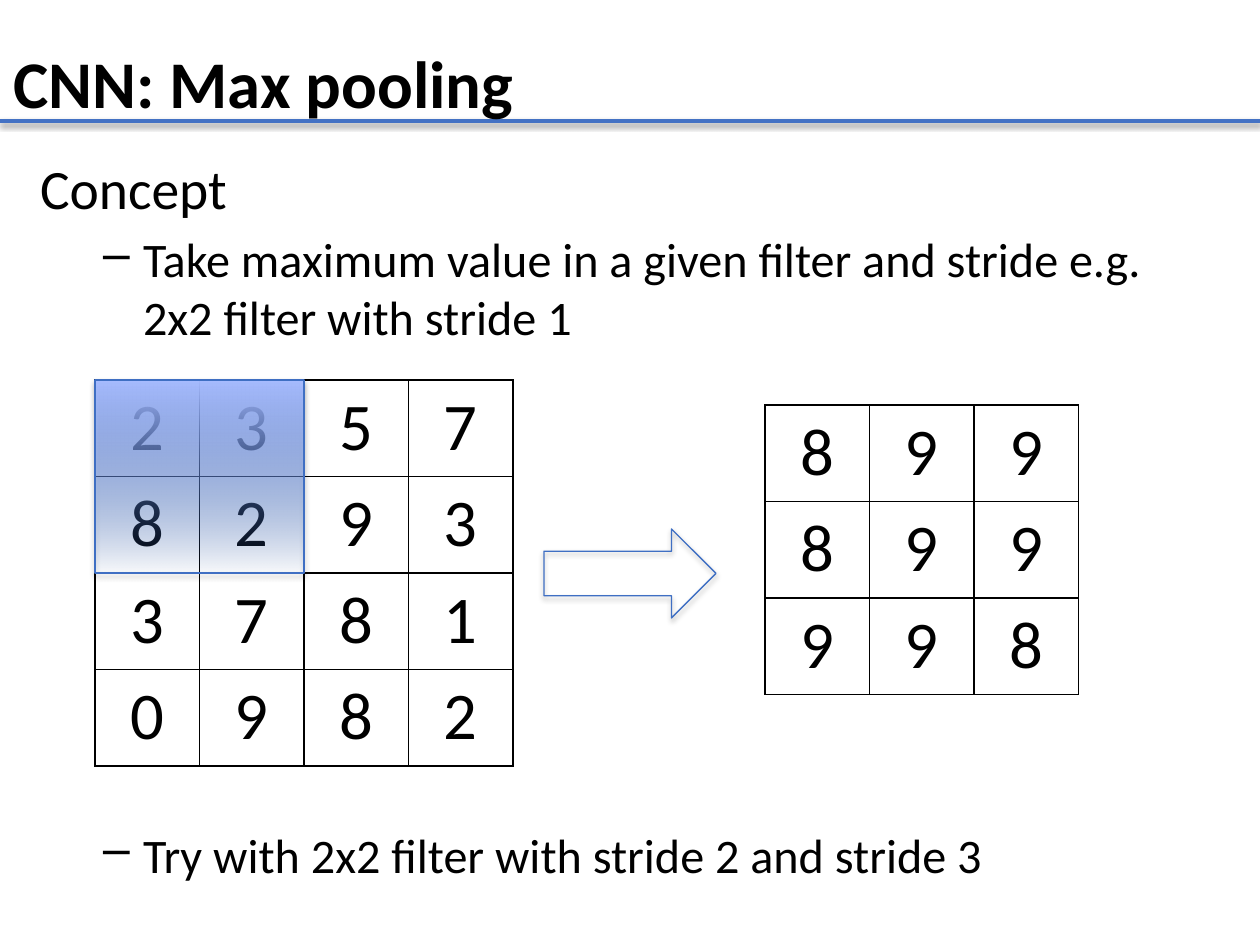
"""Build the slide that explains max pooling with a 2x2 filter."""
from dataclasses import dataclass

from pptx import Presentation
from pptx.dml.color import RGBColor
from pptx.enum.shapes import MSO_CONNECTOR, MSO_SHAPE
from pptx.enum.text import MSO_AUTO_SIZE, PP_ALIGN
from pptx.oxml import parse_xml
from pptx.oxml.ns import nsdecls
from pptx.util import Emu, Pt

TITLE = "CNN: Max pooling"
HEAD = "Concept"
POINTS = [
    ("Take maximum value in a given filter and stride e.g. 2x2 filter with stride 1", 5.2),
    ("Try with 2x2 filter with stride 2 and stride 3", 259),
]
INPUT = [[2, 3, 5, 7], [8, 2, 9, 3], [3, 7, 8, 1], [0, 9, 8, 2]]
POOLED = [[8, 9, 9], [8, 9, 9], [9, 9, 8]]
FILTER = 2

WIDE, HIGH = 1260, 945
RULE_Y = 121
TITLE_BOX = (0, 35, 532, 95)
BODY_BOX = (27, 147, 1208, 772)
ARROW_BOX = (544, 529, 172, 89)
INPUT_AT, POOLED_AT = (95, 380), (765, 405)
CELL_W, CELL_H = 418 / 4, 386 / 4
INDENT, HANG = 103, 40


@dataclass(frozen=True)
class Theme:
    """Hold the font, type sizes and colours."""
    font: str = "Calibri"
    big: int = 36
    head: int = 30
    point: int = 26
    ink: str = "000000"
    rule: str = "4472C4"
    edge: str = "3F6FC3"
    low: str = "316DD7"
    high: str = "A6BBFF"


LOOK = Theme()


def px(*nums):
    """Turn pixels into EMU."""
    return [Emu(round(num * 6858)) for num in nums]


def add_run(para, text, size, bold=False):
    """Add one styled run."""
    run = para.add_run()
    run.text = text
    font = run.font
    font.name, font.size, font.bold = LOOK.font, Pt(size), bold
    font.color.rgb = RGBColor.from_string(LOOK.ink)


def draw_line(shape, color, width):
    """Set the outline of a shape."""
    shape.line.color.rgb = RGBColor.from_string(color)
    shape.line.width = Pt(width)


def add_shadow(shape, alpha, dist):
    """Add a soft shadow that falls down."""
    shape.element.spPr.append(parse_xml(
        f'<a:effectLst {nsdecls("a")}><a:outerShdw blurRad="{Pt(3.1)}" dist="{Pt(dist)}" '
        f'dir="5400000" rotWithShape="0"><a:srgbClr val="{LOOK.ink}">'
        f'<a:alpha val="{alpha * 1000}"/></a:srgbClr></a:outerShdw></a:effectLst>'))


def add_rule(slide):
    """Draw the line under the title."""
    rule = slide.shapes.add_connector(MSO_CONNECTOR.STRAIGHT, *px(0, RULE_Y, WIDE, RULE_Y))
    draw_line(rule, LOOK.rule, 2)
    add_shadow(rule, 38, 1.6)


def add_title(slide):
    """Write the title."""
    frame = slide.shapes.add_textbox(*px(*TITLE_BOX)).text_frame
    frame.word_wrap = False
    frame.auto_size = MSO_AUTO_SIZE.SHAPE_TO_FIT_TEXT
    add_run(frame.paragraphs[0], TITLE, LOOK.big, True)


def add_body(slide):
    """Write the heading and its dashed points."""
    frame = slide.shapes.add_textbox(*px(*BODY_BOX)).text_frame
    frame.word_wrap = True
    add_run(frame.paragraphs[0], HEAD, LOOK.head)
    left, hang = px(INDENT, -HANG)
    for text, gap in POINTS:
        para = frame.add_paragraph()
        para.level = 1
        props = para._p.get_or_add_pPr()
        props.set("marL", str(left))
        props.set("indent", str(hang))
        props.append(parse_xml(f'<a:buChar {nsdecls("a")} char="–"/>'))
        para.space_before = Pt(gap)
        add_run(para, text, LOOK.point)


def add_grid(slide, spot, rows):
    """Add a table of numbers with thin black borders."""
    count = len(rows)
    size = (CELL_W * count, CELL_H * count)
    table = slide.shapes.add_table(count, count, *px(*spot, *size)).table
    table.first_row = table.horz_banding = False
    wide, high = px(CELL_W, CELL_H)
    for col in table.columns:
        col.width = wide
    for line, row in zip(table.rows, rows):
        line.height = high
        for cell, value in zip(line.cells, row):
            props = cell._tc.get_or_add_tcPr()
            for side in ("lnL", "lnR", "lnT", "lnB"):
                props.append(parse_xml(
                    f'<a:{side} {nsdecls("a")} w="{Pt(1)}"><a:solidFill>'
                    f'<a:srgbClr val="{LOOK.ink}"/></a:solidFill></a:{side}>'))
            cell.fill.background()
            para = cell.text_frame.paragraphs[0]
            para.alignment = PP_ALIGN.CENTER
            add_run(para, str(value), LOOK.big)


def add_arrow(slide):
    """Draw the hollow arrow between the grids."""
    arrow = slide.shapes.add_shape(MSO_SHAPE.RIGHT_ARROW, *px(*ARROW_BOX))
    arrow.fill.background()
    draw_line(arrow, LOOK.edge, 0.75)
    add_shadow(arrow, 35, 1.8)


def add_filter(slide):
    """Lay the fading filter over the first cells."""
    size = (CELL_W * FILTER, CELL_H * FILTER)
    pane = slide.shapes.add_shape(MSO_SHAPE.RECTANGLE, *px(*INPUT_AT, *size))
    pane.fill.gradient()
    pane.fill.gradient_angle = 90
    for stop, color, place in zip(pane.fill.gradient_stops, (LOOK.low, LOOK.high), (0, 1)):
        stop.color.rgb = RGBColor.from_string(color)
        stop.position = place
    first = pane.element.spPr.xpath(".//a:gs/a:srgbClr")[0]
    first.append(parse_xml(f'<a:alpha {nsdecls("a")} val="2000"/>'))
    draw_line(pane, LOOK.edge, 0.75)
    add_shadow(pane, 35, 1.8)


def main():
    """Build and save the slide."""
    deck = Presentation()
    deck.slide_width, deck.slide_height = px(WIDE, HIGH)
    slide = deck.slides.add_slide(deck.slide_layouts[6])
    add_rule(slide)
    add_title(slide)
    add_body(slide)
    add_grid(slide, INPUT_AT, INPUT)
    add_arrow(slide)
    add_grid(slide, POOLED_AT, POOLED)
    add_filter(slide)
    deck.save("out.pptx")


if __name__ == "__main__":
    main()
